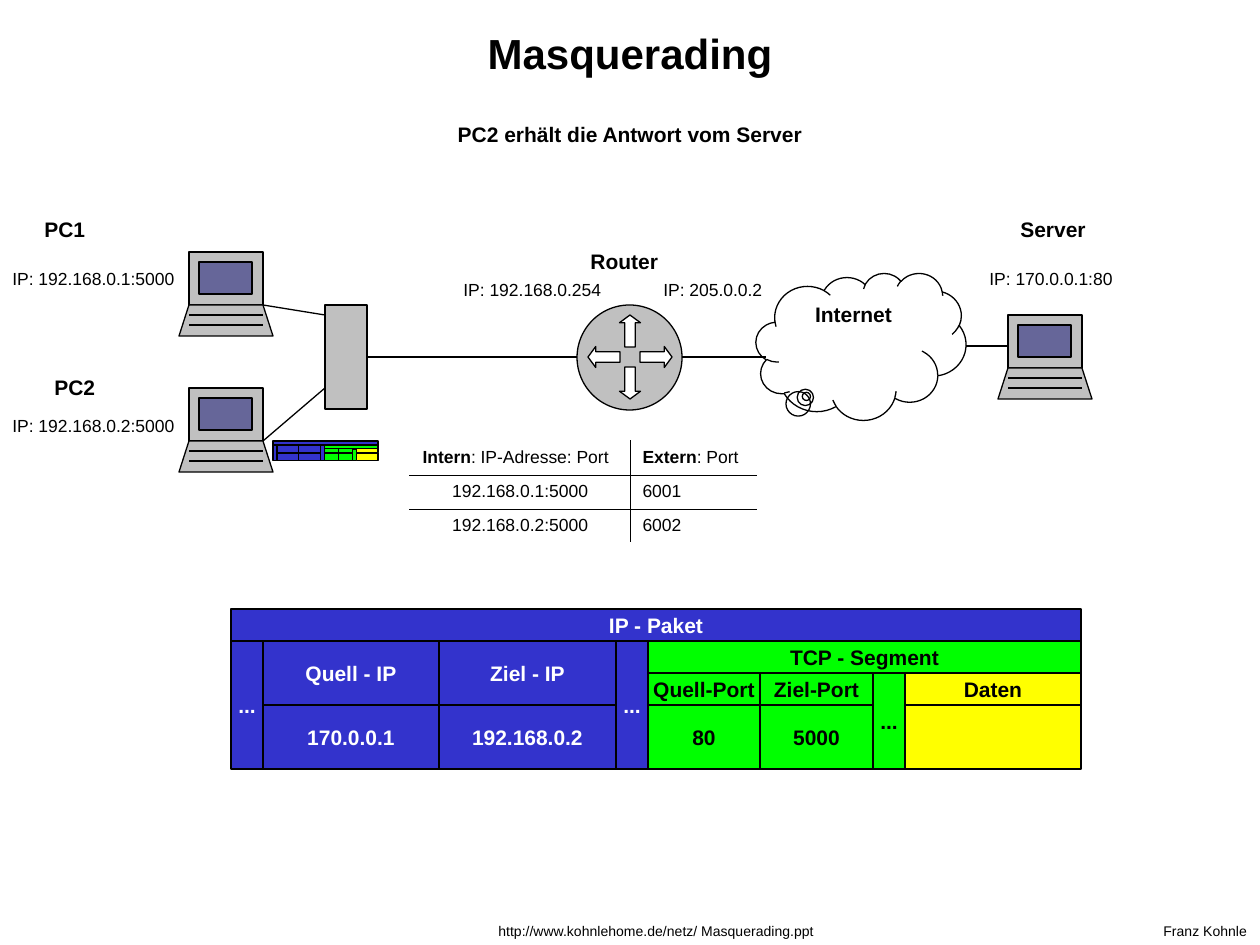
import pptx
import pptx.dml.color
import pptx.enum.shapes
import pptx.enum.text
import pptx.oxml
import pptx.oxml.ns
import pptx.util

RGB = pptx.dml.color.RGBColor
KIND = pptx.enum.shapes.MSO_SHAPE
ALIGN = pptx.enum.text.PP_ALIGN
ANCHOR = pptx.enum.text.MSO_ANCHOR
FIT = pptx.enum.text.MSO_AUTO_SIZE

BLACK = RGB(0x00, 0x00, 0x00)
WHITE = RGB(0xFF, 0xFF, 0xFF)
GRAY = RGB(0xC0, 0xC0, 0xC0)
SCREEN = RGB(0x66, 0x66, 0x99)
BLUE = RGB(0x33, 0x33, 0xCC)
GREEN = RGB(0x00, 0xFF, 0x00)
YELLOW = RGB(0xFF, 0xFF, 0x00)

SCALE = 914400 / 126  # EMU per px

# Grid lines of the packet, and its fields as (left, top, right, bottom) lines
COLS = [0, 32, 208, 385, 417, 529, 642, 674, 850]
ROWS = [0, 32, 64, 96, 160]
FIELDS = [
    (0, 0, 8, 1, BLUE, "IP - Paket"),
    (0, 1, 1, 4, BLUE, "..."),
    (1, 1, 2, 3, BLUE, "Quell - IP"),
    (2, 1, 3, 3, BLUE, "Ziel - IP"),
    (1, 3, 2, 4, BLUE, "170.0.0.1"),
    (2, 3, 3, 4, BLUE, "192.168.0.2"),
    (3, 1, 4, 4, BLUE, "..."),
    (4, 1, 8, 2, GREEN, "TCP - Segment"),
    (4, 2, 5, 3, GREEN, "Quell-Port"),
    (5, 2, 6, 3, GREEN, "Ziel-Port"),
    (4, 3, 5, 4, GREEN, "80"),
    (5, 3, 6, 4, GREEN, "5000"),
    (6, 2, 7, 4, GREEN, "..."),
    (7, 2, 8, 3, YELLOW, "Daten"),
    (7, 3, 8, 4, YELLOW, ""),
]

LABELS = [
    ("PC1", 32, 210, 66, 12, True),
    ("IP: 192.168.0.1:5000", 0, 262, 186, 10, False),
    ("PC2", 42, 368, 66, 12, True),
    ("IP: 192.168.0.2:5000", 0, 409, 186, 10, False),
    ("Router", 578, 242, 92, 12, True),
    ("IP: 192.168.0.254", 451, 273, 168, 10, False),
    ("IP: 205.0.0.2", 651, 273, 129, 10, False),
    ("Server", 1008, 210, 91, 12, True),
    ("IP: 170.0.0.1:80", 977, 262, 147, 10, False),
    ("http://www.kohnlehome.de/netz/ Masquerading.ppt", 486, 916, 341, 8, False),
    ("Franz Kohnle", 1151, 916, 108, 8, False),
]

TABLE = [
    [("Intern", ": IP-Adresse: Port"), ("Extern", ": Port")],
    [("", "192.168.0.1:5000"), ("", "6001")],
    [("", "192.168.0.2:5000"), ("", "6002")],
]


def emu(*px):
    return [pptx.util.Emu(round(n * SCALE)) for n in px]


def style(para, size, bold=False, color=BLACK):
    font = para.font
    font.name = "Arial"
    font.size = pptx.util.Pt(size)
    font.bold = bold
    font.color.rgb = color


def paint(shape, fill):
    """Give a shape a thin black line and a fill, or no fill for None."""
    shape.shadow.inherit = False
    shape.line.color.rgb = BLACK
    shape.line.width = pptx.util.Pt(0.75)
    if fill is None:
        shape.fill.background()
    else:
        shape.fill.solid()
        shape.fill.fore_color.rgb = fill


def box(shapes, kind, x, y, w, h, fill):
    shape = shapes.add_shape(kind, *emu(x, y, w, h))
    paint(shape, fill)
    return shape


def wire(shapes, x1, y1, x2, y2):
    link = shapes.add_connector(
        pptx.enum.shapes.MSO_CONNECTOR.STRAIGHT, *emu(x1, y1, x2, y2))
    link.line.color.rgb = BLACK
    link.line.width = pptx.util.Pt(0.75)
    props = link._element.spPr
    props.append(pptx.oxml.parse_xml(
        "<a:effectLst %s/>" % pptx.oxml.ns.nsdecls("a")))
    return link


def write(shape, text, size, bold=True, color=BLACK, wrap=False,
          anchor=ANCHOR.TOP, align=ALIGN.CENTER):
    frame = shape.text_frame
    frame.word_wrap = wrap
    frame.vertical_anchor = anchor
    frame.text = text
    para = frame.paragraphs[0]
    para.alignment = align
    style(para, size, bold, color)
    return para


def label(shapes, text, x, y, w, size, bold):
    """Add one line of text, with no right inset so that it never breaks."""
    shape = shapes.add_textbox(*emu(x, y, w, 14 + 2 * size))
    shape.text_frame.margin_right = 0
    write(shape, text, size, bold, align=ALIGN.LEFT)


def laptop(slide, x, y):
    parts = slide.shapes.add_group_shape().shapes
    box(parts, KIND.RECTANGLE, x, y, 74, 53, GRAY)
    box(parts, KIND.RECTANGLE, x + 10, y + 10, 53, 32, SCREEN)
    pen = parts.build_freeform(x - 10, y + 84, SCALE)
    pen.add_line_segments([(x + 84, y + 84), (x + 74, y + 53), (x, y + 53)])
    paint(pen.convert_to_shape(), GRAY)
    for drop in (63, 73):
        wire(parts, x, y + drop, x + 74, y + drop)


def router(slide, x, y):
    """Draw a disc around (x, y) with four arrows pointing outwards."""
    parts = slide.shapes.add_group_shape().shapes
    box(parts, KIND.OVAL, x - 53, y - 52, 105, 105, GRAY)
    for turn, dx, dy in ((0, 0, -26), (90, 26, 0), (180, 0, 26), (270, -26, 0)):
        arrow = box(parts, KIND.UP_ARROW, x + dx - 10.5, y + dy - 16, 21, 32, WHITE)
        arrow.adjustments[1] = 0.37
        arrow.rotation = turn


def packet(slide, x, y, width, named):
    """Draw the packet at any width, with or without field names."""
    parts = slide.shapes.add_group_shape().shapes
    zoom = width / COLS[-1]
    for left, top, right, bottom, fill, text in FIELDS:
        field = box(parts, KIND.RECTANGLE,
                    x + COLS[left] * zoom, y + ROWS[top] * zoom,
                    (COLS[right] - COLS[left]) * zoom,
                    (ROWS[bottom] - ROWS[top]) * zoom, fill)
        if named and text:
            color = WHITE if fill == BLUE else BLACK
            write(field, text, 12, color=color, anchor=ANCHOR.MIDDLE)


def edge(cell, side):
    cell._tc.get_or_add_tcPr().append(pptx.oxml.parse_xml(
        '<a:ln%s %s w="5715"><a:solidFill><a:srgbClr val="%s"/></a:solidFill>'
        "</a:ln%s>" % (side, pptx.oxml.ns.nsdecls("a"), BLACK, side)))


def ports(slide, x, y):
    """Add the port table, ruled on its inner edges only."""
    grid = slide.shapes.add_table(3, 2, *emu(x, y, 346, 102)).table
    grid.first_row = grid.horz_banding = False
    for col, width in zip(grid.columns, emu(220, 126)):
        col.width = width
    for i, line in enumerate(TABLE):
        for j, (head, rest) in enumerate(line):
            cell = grid.cell(i, j)
            para = cell.text_frame.paragraphs[0]
            para.space_before = pptx.util.Pt(2.5)
            para.alignment = ALIGN.CENTER if i and not j else ALIGN.LEFT
            style(para, 10)
            if head:
                run = para.add_run()
                run.text = head
                run.font.bold = True
            para.add_run().text = rest
            edge(cell, "L" if j else "R")
            if i > 0:
                edge(cell, "T")
            if i < 2:
                edge(cell, "B")
            cell.fill.background()


def main():
    deck = pptx.Presentation()
    deck.slide_width, deck.slide_height = emu(1260, 945)
    slide = deck.slides.add_slide(deck.slide_layouts[5])
    shapes = slide.shapes

    title = shapes.title
    title.left, title.top, title.width, title.height = emu(462, 21, 336, 63)
    title.text_frame.auto_size = FIT.NONE
    write(title, "Masquerading", 24, wrap=True).space_before = pptx.util.Pt(15)
    lead = shapes.add_textbox(*emu(331, 115, 598, 38))
    para = write(lead, "PC2 erhält die Antwort vom Server", 12, wrap=True)
    para.space_before = pptx.util.Pt(7.5)

    for x, y in ((189, 252), (189, 388), (1008, 315)):
        laptop(slide, x, y)
    router(slide, 630, 357)
    hub = box(shapes, KIND.RECTANGLE, 325, 305, 42, 104, GRAY)
    wire(shapes, 367, 357, 577, 357).begin_connect(hub, 3)
    wire(shapes, 263, 305, 325, 315)
    wire(shapes, 263, 441, 325, 388)
    wire(shapes, 682, 357, 766, 357)
    wire(shapes, 966, 346, 1008, 346)
    cloud = box(shapes, KIND.CLOUD_CALLOUT, 756, 273, 210, 147, None)
    cloud.adjustments[0] = -0.26
    cloud.adjustments[1] = 0.34
    write(cloud, "Internet", 12, wrap=True)

    for item in LABELS:
        label(shapes, *item)
    packet(slide, 231, 609, 850, True)
    packet(slide, 273, 441, 105, False)
    ports(slide, 410, 441)
    deck.save("out.pptx")


if __name__ == "__main__":
    main()
